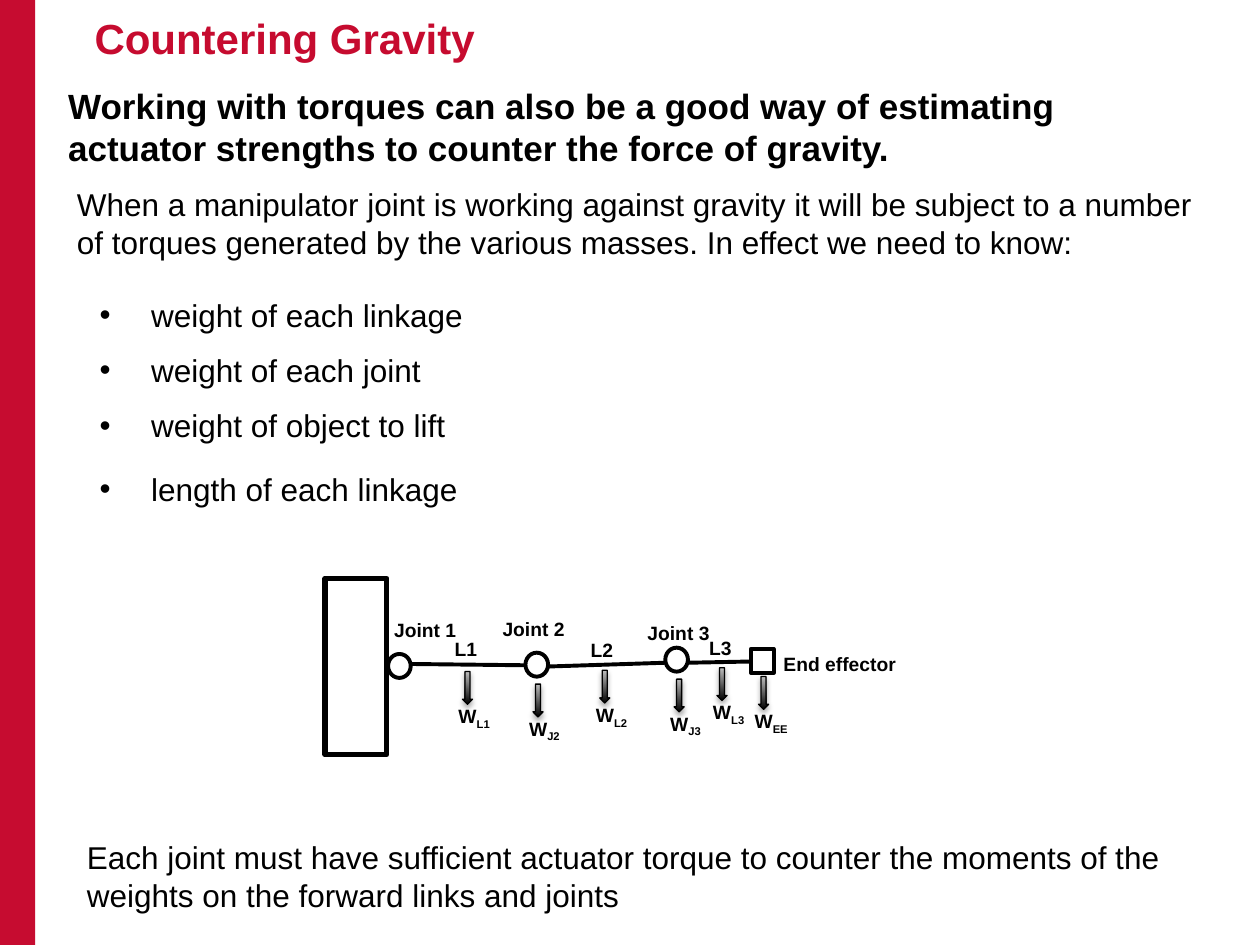
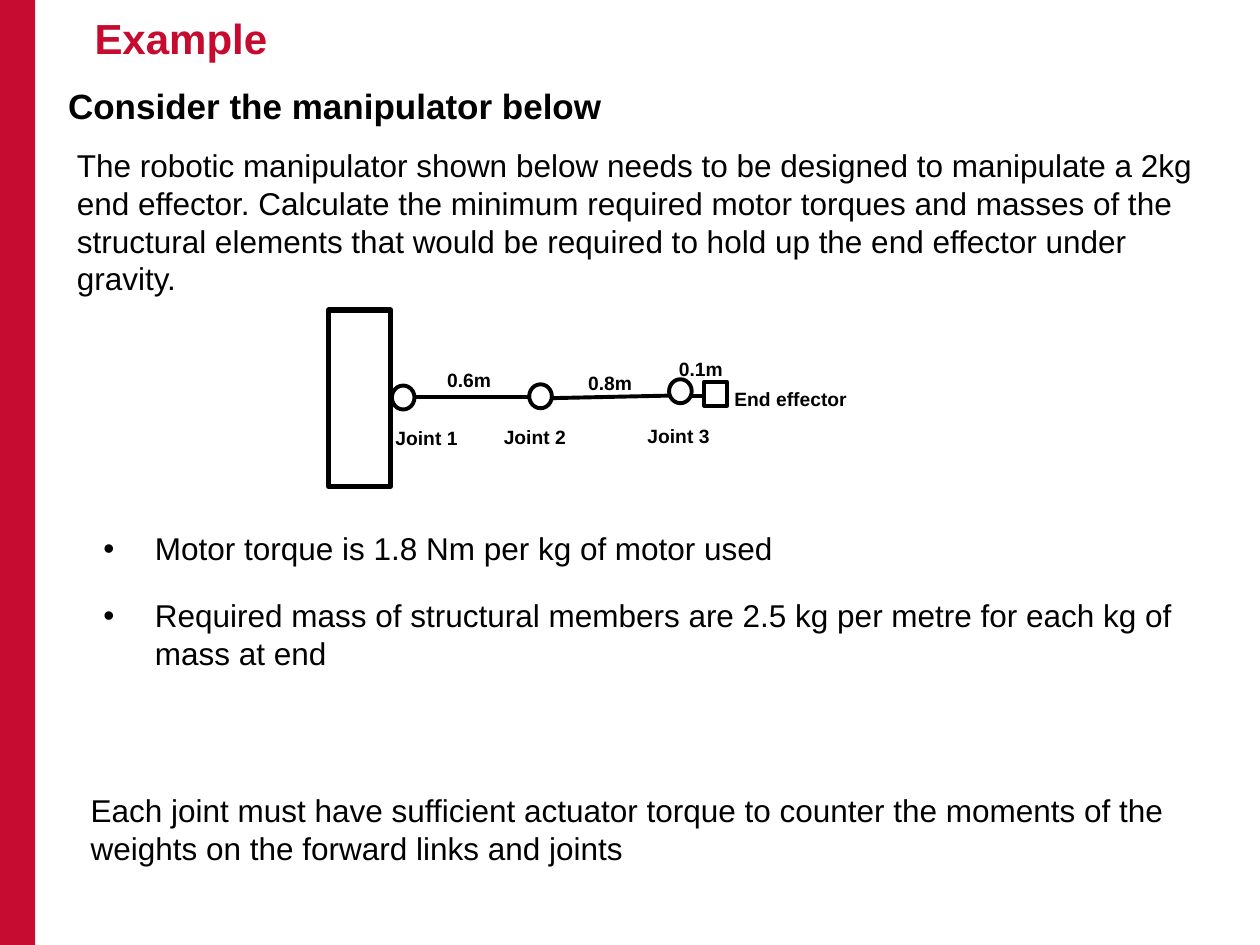
import dataclasses

import lxml.etree
import pptx
import pptx.dml.color
import pptx.enum.shapes
import pptx.enum.text
import pptx.oxml.ns
import pptx.util

SHAPE = pptx.enum.shapes.MSO_SHAPE
ANCHOR = pptx.enum.text.MSO_ANCHOR


@dataclasses.dataclass(frozen=True)
class Theme:
    font: str = "Arial"
    band: str = "C60C30"
    title: str = "C60B2F"
    ink: str = "000000"
    paper: str = "FFFFFF"
    arrow_light: str = "BDBDBD"
    title_size: int = 24
    heading_size: int = 20
    body_size: int = 18
    label_size: int = 11
    wall_line: float = 3
    arm_line: float = 2.25
    arrow_line: float = 0.75


THEME = Theme()
COLUMNS, ROWS = 10, 7.5
BAND_WIDTH = 0.28
TITLE_BOX = (0.32, 0.02, 8.94, 0.56)
TEXT_WIDTH = 9.01
BULLET_INDENT = 0.41

WALL = (0.49, 1.4)
NODE = (0.18, 0.19)
LABEL = (1.23, 0.49)
WEIGHT_ARROW = (0.08, 0.26)
WEIGHT_LABEL = (0.52, 0.49)
WEIGHT_LABEL_SHIFT = (-0.13, 0.21)
JOINTS = [(0.5, 0.6), (1.59, 0.59), (2.7, 0.55)]

CONCLUSION = (
    "Each joint must have sufficient actuator torque to counter the moments "
    "of the weights on the forward links and joints"
)

SLIDES = [
    {
        "title": "Countering Gravity",
        "heading": "Working with torques can also be a good way of estimating "
        "actuator strengths to counter the force of gravity.",
        "heading_height": 0.69,
        "intro": "When a manipulator joint is working against gravity it will be "
        "subject to a number of torques generated by the various masses. "
        "In effect we need to know:",
        "intro_rows": (1.46, 0.62),
        "bullets": [
            ("weight of each linkage", 0),
            ("weight of each joint", 9.5),
            ("weight of object to lift", 10.3),
            ("length of each linkage", 14.5),
        ],
        "bullet_box": (0.69, 2.3, 4.61, 1.74),
        "conclusion_at": (0.69, 6.64),
        "arm": {
            "origin": (2.58, 4.59),
            "effector": (3.38, 0.56),
            "link_heights": [(0.68, 0.69), (0.7, 0.67), (0.67, 0.66)],
            "label_spacing": 1.0,
            "labels": [
                ("Joint 1", 0.45, 0.27),
                ("Joint 2", 1.31, 0.26),
                ("Joint 3", 2.46, 0.29),
                ("L1", 0.93, 0.42),
                ("L2", 2.01, 0.43),
                ("L3", 2.95, 0.41),
                ("End effector", 3.54, 0.54),
            ],
            "weights": [
                ("L1", 1.09, 0.74),
                ("J2", 1.65, 0.84),
                ("L2", 2.18, 0.73),
                ("J3", 2.77, 0.8),
                ("L3", 3.11, 0.71),
                ("EE", 3.44, 0.78),
            ],
        },
    },
    {
        "title": "Example",
        "heading": "Consider the manipulator below",
        "heading_height": 0.35,
        "intro": "The robotic manipulator shown below needs to be designed to "
        "manipulate a 2kg end effector. Calculate the minimum required motor "
        "torques and masses of the structural elements that would be required "
        "to hold up the end effector under gravity.",
        "intro_rows": (1.15, 1.23),
        "bullets": [
            ("Motor torque is 1.8 Nm per kg of motor used", 0),
            ("Required mass of structural members are 2.5 kg per metre "
             "for each kg of mass at end", 16.7),
        ],
        "bullet_box": (0.72, 4.15, 8.78, 1.23),
        "conclusion_at": (0.72, 6.27),
        "arm": {
            "origin": (2.61, 2.46),
            "effector": (2.98, 0.57),
            "link_heights": [(0.69, 0.69), (0.7, 0.68), (0.68, 0.68)],
            "label_spacing": 1.15,
            "labels": [
                ("Joint 1", 0.43, 0.85),
                ("Joint 2", 1.29, 0.84),
                ("Joint 3", 2.43, 0.83),
                ("0.6m", 0.84, 0.39),
                ("0.8m", 1.96, 0.41),
                ("0.1m", 2.68, 0.3),
                ("End effector", 3.12, 0.54),
            ],
            "weights": [],
        },
    },
]

deck = pptx.Presentation()
deck.slide_width = pptx.util.Inches(10)
deck.slide_height = pptx.util.Inches(7.5)


def grid(left, top, *size):
    steps = (deck.slide_width / COLUMNS, deck.slide_height / ROWS)
    return [round(v * steps[i % 2]) for i, v in enumerate((left, top, *size))]


def rgb(code):
    return pptx.dml.color.RGBColor.from_string(code)


def style(paragraph, size, color=THEME.ink, bold=False):
    for run in paragraph.runs:
        run.font.name = THEME.font
        run.font.size = pptx.util.Pt(size)
        run.font.bold = bold
        run.font.color.rgb = rgb(color)


def move(part, box):
    part.left, part.top, part.width, part.height = grid(*box)


def add_text(shapes, text, box, size, bold=False, flush=True):
    frame = shapes.add_textbox(*grid(*box)).text_frame
    frame.word_wrap = True
    if flush:
        frame.margin_left = frame.margin_right = frame.margin_bottom = 0
        frame.margin_top = pptx.util.Inches(0.01)
    frame.text = text
    style(frame.paragraphs[0], size, bold=bold)
    return frame.paragraphs[0]


def add_outline(shapes, kind, box, width, fill=THEME.paper):
    outline = shapes.add_shape(kind, *grid(*box))
    outline.shadow.inherit = False
    outline.fill.solid()
    outline.fill.fore_color.rgb = rgb(fill)
    outline.line.color.rgb = rgb(THEME.ink)
    outline.line.width = pptx.util.Pt(width)
    return outline


def add_link(shapes, start, end):
    link = shapes.add_connector(
        pptx.enum.shapes.MSO_CONNECTOR.STRAIGHT, *grid(*start), *grid(*end))
    link.line.color.rgb = rgb(THEME.ink)
    link.line.width = pptx.util.Pt(THEME.arm_line)
    lxml.etree.SubElement(link.element.spPr, pptx.oxml.ns.qn("a:effectLst"))


def add_weight(shapes, name, left, top):
    arrow = add_outline(shapes, SHAPE.DOWN_ARROW, (left, top, *WEIGHT_ARROW),
                        THEME.arrow_line)
    arrow.fill.gradient()
    arrow.fill.gradient_angle = 90
    for stop, color in zip(arrow.fill.gradient_stops, (THEME.ink, THEME.arrow_light)):
        stop.color.rgb = rgb(color)
    effects = arrow.element.spPr.find(pptx.oxml.ns.qn("a:effectLst"))
    effects.append(pptx.oxml.parse_xml(
        f'<a:outerShdw {pptx.oxml.ns.nsdecls("a")} blurRad="39370" dist="22860" '
        f'dir="5400000" rotWithShape="0"><a:srgbClr val="{THEME.ink}">'
        '<a:alpha val="35000"/></a:srgbClr></a:outerShdw>'))
    shift_x, shift_y = WEIGHT_LABEL_SHIFT
    label = add_text(shapes, "W", (left + shift_x, top + shift_y, *WEIGHT_LABEL),
                     THEME.label_size, bold=True, flush=False)
    subscript = label.add_run()
    subscript.text = name
    style(label, THEME.label_size, bold=True)
    subscript.font._element.set("baseline", "-25000")


def add_arm(slide, arm):
    shapes = slide.shapes.add_group_shape().shapes
    origin_x, origin_y = arm["origin"]

    def at(x, y):
        return origin_x + x, origin_y + y

    add_outline(shapes, SHAPE.RECTANGLE, (*at(0, 0), *WALL), THEME.wall_line)
    nodes = [*JOINTS, arm["effector"]]
    kinds = [SHAPE.OVAL] * len(JOINTS) + [SHAPE.RECTANGLE]
    for kind, node in zip(kinds, nodes):
        add_outline(shapes, kind, (*at(*node), *NODE), THEME.arm_line)
    for near, far, (start, end) in zip(nodes, nodes[1:], arm["link_heights"]):
        add_link(shapes, at(near[0] + NODE[0], start), at(far[0], end))
    for text, x, y in arm["labels"]:
        label = add_text(shapes, text, (*at(x, y), *LABEL), THEME.label_size,
                         bold=True, flush=False)
        label.line_spacing = arm["label_spacing"]
    for name, x, y in arm["weights"]:
        add_weight(shapes, name, *at(x, y))


def fill_title(title, text):
    move(title, TITLE_BOX)
    frame = title.text_frame
    frame.text = text
    frame.vertical_anchor = ANCHOR.MIDDLE
    frame.margin_left = pptx.util.Inches(0.43)
    frame.paragraphs[0].alignment = pptx.enum.text.PP_ALIGN.LEFT
    style(frame.paragraphs[0], THEME.title_size, THEME.title, bold=True)


def fill_bullets(body, bullets, box):
    move(body, box)
    frame = body.text_frame
    frame.text = "\n".join(text for text, gap in bullets)
    frame.auto_size = pptx.enum.text.MSO_AUTO_SIZE.NONE
    indent = pptx.util.Inches(BULLET_INDENT)
    for paragraph, (text, gap) in zip(frame.paragraphs, bullets):
        properties = paragraph._p.get_or_add_pPr()
        properties.set("marL", str(indent))
        properties.set("indent", str(-indent))
        paragraph.space_before = pptx.util.Pt(gap)
        style(paragraph, THEME.body_size)


def add_slide(layout, content):
    slide = deck.slides.add_slide(layout)
    fill_title(slide.shapes.title, content["title"])
    add_text(slide.shapes, content["heading"],
             (0.54, 0.66, 8.68, content["heading_height"]),
             THEME.heading_size, bold=True)
    top, height = content["intro_rows"]
    add_text(slide.shapes, content["intro"], (0.61, top, TEXT_WIDTH, height),
             THEME.body_size)
    add_text(slide.shapes, CONCLUSION,
             (*content["conclusion_at"], TEXT_WIDTH, 0.62), THEME.body_size)
    fill_bullets(slide.placeholders[1], content["bullets"], content["bullet_box"])
    add_arm(slide, content["arm"])
    return slide


def main():
    layout = deck.slide_layouts[1]
    slides = [add_slide(layout, content) for content in SLIDES]
    band = add_outline(slides[0].shapes, SHAPE.RECTANGLE,
                       (0, 0, BAND_WIDTH, ROWS), 0, THEME.band)
    band.line.fill.background()
    layout.shapes.element.insert(2, band.element)
    deck.save("out.pptx")


if __name__ == "__main__":
    main()
